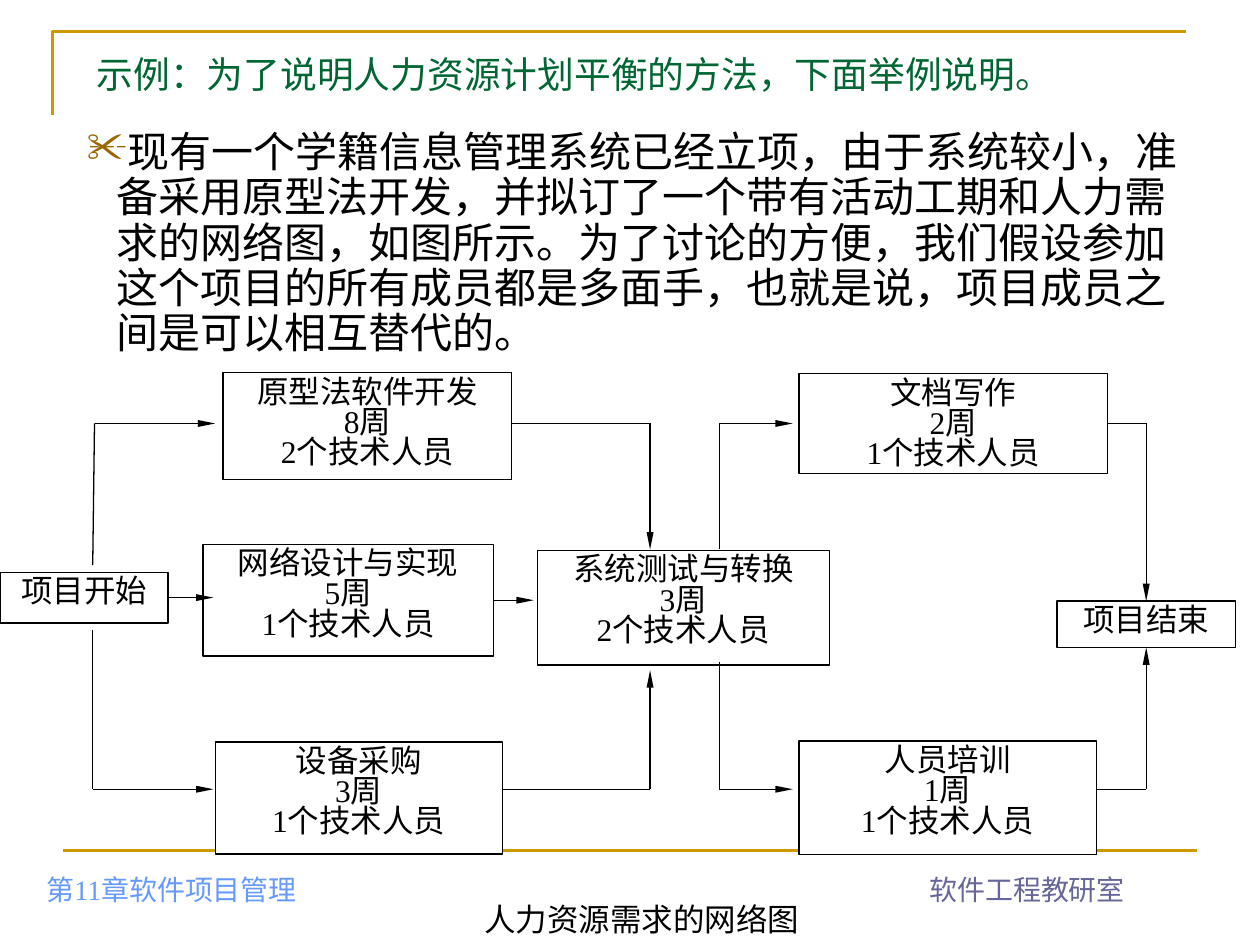
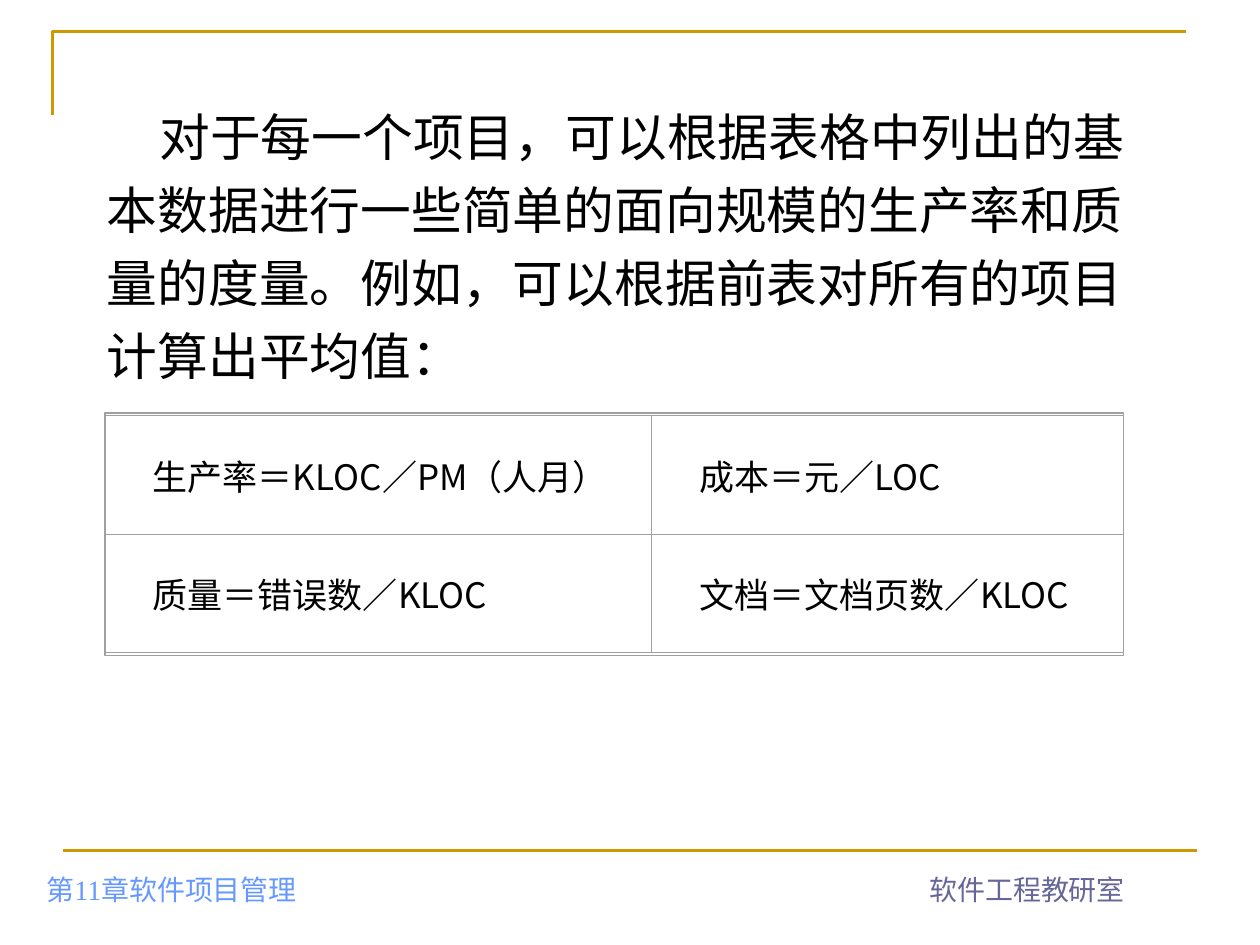
from lxml import etree
from pptx import Presentation
from pptx.dml.color import RGBColor
from pptx.enum.shapes import MSO_CONNECTOR, MSO_SHAPE
from pptx.enum.text import MSO_ANCHOR as ANCHOR, MSO_AUTO_SIZE, PP_ALIGN as ALIGN
from pptx.oxml.ns import qn
from pptx.util import Pt

BLACK = RGBColor(0x00, 0x00, 0x00)
WHITE = RGBColor(0xFF, 0xFF, 0xFF)
GOLD = RGBColor(0xCC, 0x99, 0x00)
GREEN = RGBColor(0x00, 0x66, 0x33)
BROWN = RGBColor(0x99, 0x66, 0x00)
SKY = RGBColor(0x66, 0x99, 0xFF)
VIOLET = RGBColor(0x66, 0x66, 0x99)
GREY = RGBColor(0xA0, 0xA0, 0xA0)

SERIF, SANS, CJK = "Times New Roman", "Arial", "Noto Sans CJK SC"
TITLE_ONLY, BLANK = 5, 6
TOP, LEFT, BOTTOM, RIGHT = range(4)

# name: (left, top, width, height, lines)
ACTIVITIES = {
    "prototype": (127.5, 213, 165, 61, ["原型法软件开发", "8周", "2个技术人员"]),
    "writing": (456.5, 213.5, 176.5, 57, ["文档写作", "2周", "1个技术人员"]),
    "network": (116, 311, 166, 64, ["网络设计与实现", "5周", "1个技术人员"]),
    "purchase": (123, 424, 164, 64, ["设备采购", "3周", "1个技术人员"]),
    "testing": (307, 314.5, 167, 65.5, ["系统测试与转换", "3周", "2个技术人员"]),
    "training": (456.5, 423.5, 170, 65, ["人员培训", "1周", "1个技术人员"]),
    "start": (0, 327, 96, 29, ["项目开始"]),
    "end": (604, 343.5, 102, 26.5, ["项目结束"]),
}

UPPER, LOWER = 242, 451  # heights of the two outer branches
FORK_X, JOIN_X, SPLIT_X, END_X = 53, 371.5, 411, 655

# (points of the route, arrow at its end, joined start, joined end)
ROUTES = [
    ([(FORK_X, 323), (54, UPPER), (123, UPPER)], True, None, None),
    ([(FORK_X, 360), (FORK_X, LOWER), (122, LOWER)], True, None, None),
    ([(96, 341.5), (122, 341.5)], True, ("start", RIGHT), None),
    ([(292.5, UPPER), (JOIN_X, UPPER), (JOIN_X, 314)], True, None, None),
    ([(287, LOWER), (JOIN_X, LOWER), (JOIN_X, 383)], True, None, None),
    ([(282, 343), (305, 343)], True, ("network", RIGHT), None),
    ([(SPLIT_X, 314), (SPLIT_X, UPPER), (453, UPPER)], True, None, None),
    ([(SPLIT_X, 378), (SPLIT_X, LOWER), (453, LOWER)], True, None, None),
    ([(633, UPPER), (END_X, UPPER), (END_X, 343.5)], True,
     ("writing", RIGHT), ("end", TOP)),
    ([(626.5, LOWER), (END_X, LOWER), (END_X, 370)], True,
     None, ("end", BOTTOM)),
]

FORMULAS = [["生产率＝KLOC／PM（人月）", "成本＝元／LOC"],
            ["质量＝错误数／KLOC", "文档＝文档页数／KLOC"]]


def pts(*values):
    return [Pt(v) for v in values]


def write(tf, lines, size, color, font=SERIF, align=ALIGN.LEFT, spacing=None,
          anchor=ANCHOR.TOP):
    """Fill a text frame, one paragraph per line, in one style."""
    tf.text = "\n".join(lines)
    tf.vertical_anchor = anchor
    for p in tf.paragraphs:
        p.alignment = align
        if spacing:
            p.line_spacing = spacing
        for r in p.runs:
            r.font.size, r.font.name = Pt(size), font
            r.font.color.rgb = color


def add_text(slide, box, text, size, color, wrap=True, **style):
    tf = slide.shapes.add_textbox(*pts(*box)).text_frame
    tf.word_wrap = wrap
    write(tf, [text], size, color, **style)
    return tf.paragraphs[0]


def set_indent(p, first, left=0):
    pPr = p._p.get_or_add_pPr()
    pPr.set("marL", str(Pt(left)))
    pPr.set("indent", str(Pt(first)))
    return pPr


def add_bullet(p, char, color, hang):
    pPr = set_indent(p, -hang, hang)
    bu_clr = etree.SubElement(pPr, qn("a:buClr"))
    etree.SubElement(bu_clr, qn("a:srgbClr"), val=str(color))
    etree.SubElement(pPr, qn("a:buChar"), char=char)


def add_line(slide, start, end, color=BLACK, width=0.75, arrow=False):
    cx = slide.shapes.add_connector(MSO_CONNECTOR.STRAIGHT, *pts(*start, *end))
    cx.line.color.rgb, cx.line.width = color, Pt(width)
    if arrow:
        etree.SubElement(cx.line._get_or_add_ln(), qn("a:tailEnd"),
                         type="triangle", w="sm", len="lg")
    etree.SubElement(cx._element.spPr, qn("a:effectLst"))
    return cx


def add_rect(slide, box, line, width, fill=None):
    sp = slide.shapes.add_shape(MSO_SHAPE.RECTANGLE, *pts(*box))
    sp.shadow.inherit = False
    sp.line.color.rgb, sp.line.width = line, Pt(width)
    if fill is None:
        sp.fill.background()
    else:
        sp.fill.solid()
        sp.fill.fore_color.rgb = fill
    return sp


def add_route(slide, boxes, points, arrow, begin, end):
    """Draw a chain of straight connectors, joined to boxes where given."""
    legs = [add_line(slide, a, b, arrow=arrow and b is points[-1])
            for a, b in zip(points, points[1:])]
    if begin:
        legs[0].begin_connect(boxes[begin[0]], begin[1])
    if end:
        legs[-1].end_connect(boxes[end[0]], end[1])


def add_frame(slide):
    """Draw the corner line, the bottom rule and both footers."""
    fb = slide.shapes.build_freeform(Pt(30), Pt(66))
    fb.add_line_segments([pts(30, 18), pts(678, 18)], close=False)
    corner = fb.convert_to_shape()
    corner.shadow.inherit = False
    corner.fill.background()
    corner.line.color.rgb, corner.line.width = GOLD, Pt(1.5)
    add_line(slide, (36, 486), (684, 486), GOLD, 1.5)
    add_text(slide, (19.5, 485.5, 283.5, 36), "第11章软件项目管理", 16, SKY,
             anchor=ANCHOR.BOTTOM)
    add_text(slide, (473, 485.5, 228, 36), "软件工程教研室", 16, VIOLET,
             align=ALIGN.CENTER, anchor=ANCHOR.BOTTOM)


def add_title(slide, box, text):
    title = slide.shapes.title
    title.left, title.top, title.width, title.height = pts(*box)
    title.text_frame.auto_size = MSO_AUTO_SIZE.NONE
    write(title.text_frame, [text], 21, GREEN)


def add_borders(cell, color, width):
    tcPr = cell._tc.get_or_add_tcPr()
    for side in ("lnL", "lnR", "lnT", "lnB"):
        ln = etree.SubElement(tcPr, qn("a:" + side), w=str(Pt(width)))
        fill = etree.SubElement(ln, qn("a:solidFill"))
        etree.SubElement(fill, qn("a:srgbClr"), val=str(color))


def add_formula_table(slide, left, top, widths, row_height):
    total = row_height * len(FORMULAS)
    table = slide.shapes.add_table(
        len(FORMULAS), len(widths),
        *pts(left, top, sum(widths), total)).table
    table.first_row = table.horz_banding = False
    for column, width in zip(table.columns, widths):
        column.width = Pt(width)
    for row, texts in zip(table.rows, FORMULAS):
        row.height = Pt(row_height)
        for cell, text in zip(row.cells, texts):
            add_borders(cell, GREY, 0.5)
            cell.fill.background()
            write(cell.text_frame, [text], 20, BLACK, CJK)
            cell.vertical_anchor = ANCHOR.MIDDLE
            set_indent(cell.text_frame.paragraphs[0], 20)
    add_rect(slide, (left, top - 1.5, sum(widths), total + 3), GREY, 0.88)


def build_network_slide(prs):
    slide = prs.slides.add_slide(prs.slide_layouts[TITLE_ONLY])
    add_frame(slide)
    add_title(slide, (48, 26, 652.5, 40.5),
              "示例：为了说明人力资源计划平衡的方法，下面举例说明。")
    p = add_text(
        slide, (42.5, 71.5, 652.5, 137),
        "现有一个学籍信息管理系统已经立项，由于系统较小，准备采用原型法开发，"
        "并拟订了一个带有活动工期和人力需求的网络图，如图所示。为了讨论的方便，"
        "我们假设参加这个项目的所有成员都是多面手，也就是说，"
        "项目成员之间是可以相互替代的。",
        24, BLACK, font=SANS, spacing=0.9)
    add_bullet(p, "✂", BROWN, 17)
    add_text(slide, (269.5, 511, 194.5, 29), "人力资源需求的网络图", 18, BLACK,
             wrap=False, align=ALIGN.CENTER)
    boxes = {}
    for name, (*box, lines) in ACTIVITIES.items():
        sp = boxes[name] = add_rect(slide, box, BLACK, 0.75, WHITE)
        write(sp.text_frame, lines, 18, BLACK, align=ALIGN.CENTER, spacing=0.8)
    for route in ROUTES:
        add_route(slide, boxes, *route)


def build_metrics_slide(prs):
    slide = prs.slides.add_slide(prs.slide_layouts[BLANK])
    add_frame(slide)
    p = add_text(
        slide, (54, 77, 618, 120),
        "对于每一个项目，可以根据表格中列出的基本数据进行一些简单的"
        "面向规模的生产率和质量的度量。例如，可以根据前表对所有的项目"
        "计算出平均值：",
        29, BLACK, font=CJK, spacing=1.2, anchor=ANCHOR.MIDDLE)
    set_indent(p, 30)
    add_formula_table(slide, 60, 237.5, (312.5, 269.5), 67.75)


def main():
    prs = Presentation()
    prs.slide_width, prs.slide_height = Pt(720), Pt(540)
    build_network_slide(prs)
    build_metrics_slide(prs)
    prs.save("out.pptx")


if __name__ == "__main__":
    main()
